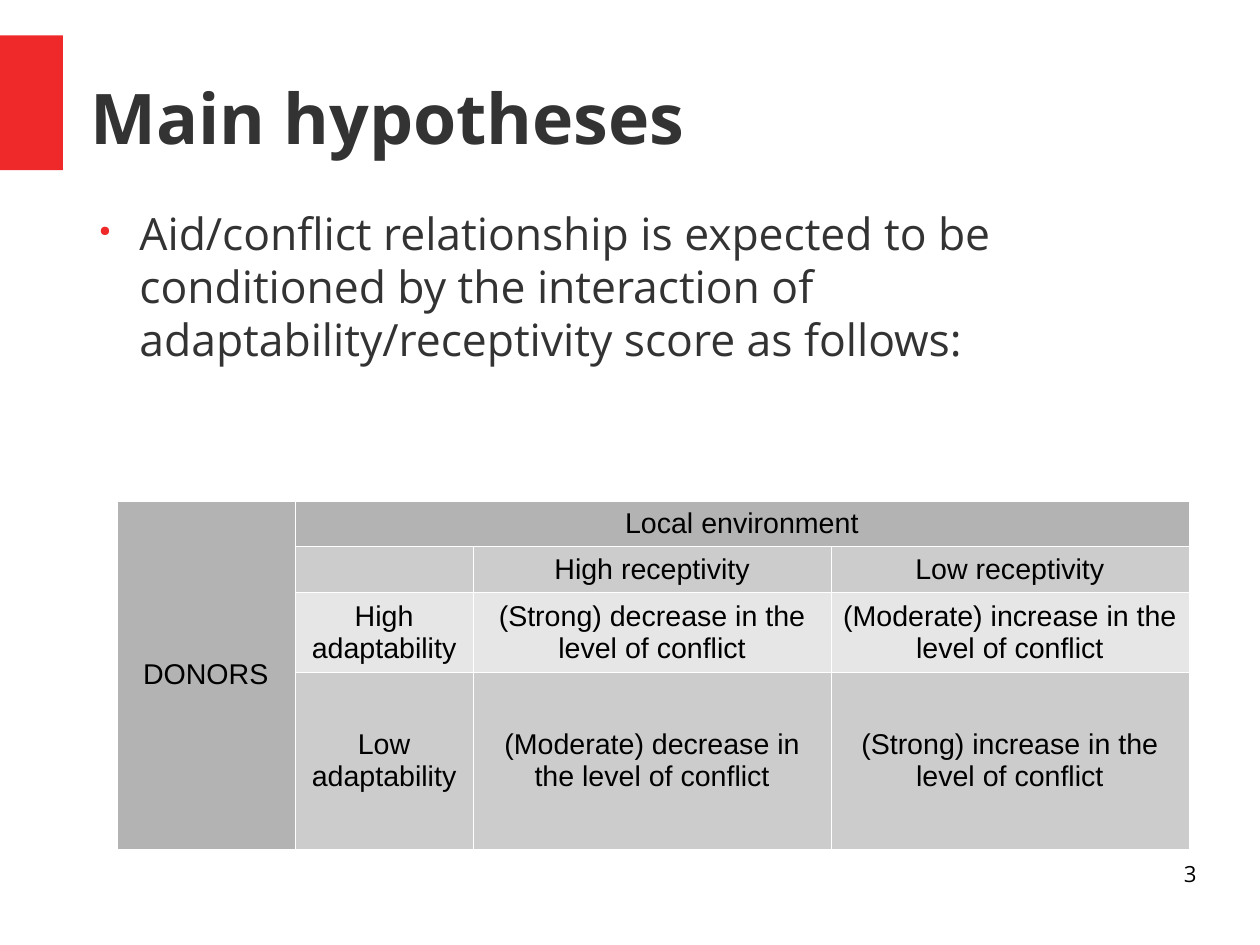
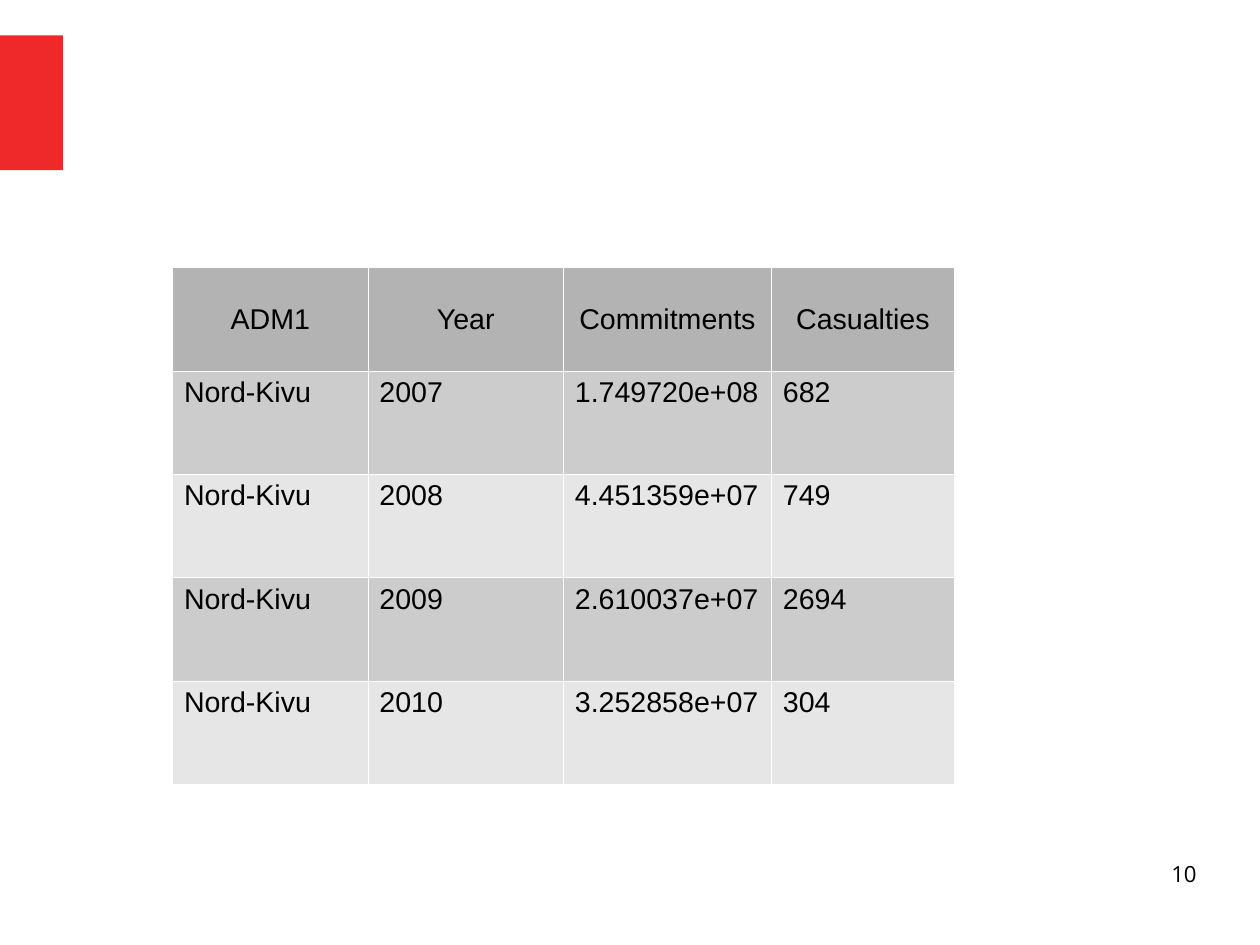
import dataclasses
import typing

import lxml.etree
import pptx
import pptx.dml.color
import pptx.enum.shapes
import pptx.enum.text
import pptx.oxml.ns
import pptx.util

Inches = pptx.util.Inches
Pt = pptx.util.Pt
RGB = pptx.dml.color.RGBColor
Align = pptx.enum.text.PP_ALIGN
Anchor = pptx.enum.text.MSO_ANCHOR
qn = pptx.oxml.ns.qn

CM_PER_INCH = 2.54
SLIDE_WIDTH_CM = 28
SLIDE_HEIGHT_CM = 21


@dataclasses.dataclass(frozen=True)
class Theme:
    accent: str = "EF2929"
    heading: str = "333333"
    ink: str = "000000"
    border: str = "FFFFFF"
    header_fill: str = "B3B3B3"
    band_fills: tuple[str, str] = ("CCCCCC", "E6E6E6")
    text_font: str = "Open Sans"
    table_font: str = "Arial"
    title_size: float = 44
    body_size: float = 28
    table_size: float = 18
    number_size: float = 14
    bullet_percent: int = 32
    border_width: float = 0.06


THEME = Theme()


@dataclasses.dataclass(frozen=True)
class Box:
    left: float
    top: float
    width: float
    height: float

    def lengths(self) -> list[pptx.util.Length]:
        return [Inches(value) for value in dataclasses.astuple(self)]


ACCENT_BAND = Box(0, 0.31, 0.55, 1.18)
TITLE = Box(0.79, 0.33, 9.68, 1.38)
BODY = Box(0.75, 1.8, 9.45, 1.8)
PAGE_NUMBER = Box(7.9, 7.53, 2.57, 0.57)


@dataclasses.dataclass(frozen=True)
class Grid:
    """A table; its first centred_rows rows are centred both ways."""
    left: float
    top: float
    columns: tuple[float, ...]
    rows: tuple[float, ...]
    texts: tuple[tuple[str, ...], ...]
    centred_rows: int
    merges: tuple[tuple[int, int, int, int], ...] = ()


@dataclasses.dataclass(frozen=True)
class Page:
    number: int
    grid: Grid
    title: str = ""
    bullet: str = ""


HYPOTHESES = Page(
    number=3,
    title="Main hypotheses",
    bullet="Aid/conflict relationship is expected to be conditioned by the "
           "interaction of adaptability/receptivity score as follows:",
    grid=Grid(
        left=1.02, top=4.38,
        columns=(1.56, 1.56, 3.13, 3.13),
        rows=(0.39, 0.39, 0.68, 1.55),
        texts=(
            ("DONORS", "Local environment", "", ""),
            ("", "", "High receptivity", "Low receptivity"),
            ("", "High adaptability",
             "(Strong) decrease in the level of conflict",
             "(Moderate) increase in the level of conflict"),
            ("", "Low adaptability",
             "(Moderate) decrease in the level of conflict",
             "(Strong) increase in the level of conflict"),
        ),
        centred_rows=4,
        merges=((0, 0, 3, 0), (0, 1, 0, 3)),
    ),
)

NORD_KIVU = Page(
    number=10,
    grid=Grid(
        left=1.51, top=2.34,
        columns=(1.71, 1.71, 1.82, 1.6),
        rows=(4.52 / 5,) * 5,
        texts=(
            ("ADM1", "Year", "Commitments", "Casualties"),
            ("Nord-Kivu", "2007", "1.749720e+08", "682"),
            ("Nord-Kivu", "2008", "4.451359e+07", "749"),
            ("Nord-Kivu", "2009", "2.610037e+07", "2694"),
            ("Nord-Kivu", "2010", "3.252858e+07", "304"),
        ),
        centred_rows=1,
    ),
)


def write(frame: typing.Any, text: str, *, size: float, font: str = THEME.text_font,
          color: str = THEME.ink, bold: bool = False,
          align: Align = Align.LEFT) -> typing.Any:
    """Fill the first paragraph of a text frame and return it."""
    paragraph = frame.paragraphs[0]
    paragraph.alignment = align
    run = paragraph.add_run()
    run.text = text
    run.font.size = Pt(size)
    run.font.name = font
    run.font.bold = bold
    run.font.color.rgb = RGB.from_string(color)
    return paragraph


def add_text(slide: typing.Any, box: Box, text: str, *, anchor: Anchor = Anchor.TOP,
             **style: typing.Any) -> typing.Any:
    frame = slide.shapes.add_textbox(*box.lengths()).text_frame
    frame.word_wrap = True
    frame.vertical_anchor = anchor
    frame.margin_left = frame.margin_right = frame.margin_top = frame.margin_bottom = 0
    return write(frame, text, **style)


def add_bullet(paragraph: typing.Any) -> None:
    properties = paragraph._p.get_or_add_pPr()
    properties.set("marL", str(Inches(0.47)))
    properties.set("indent", str(Inches(-0.35)))
    color = lxml.etree.SubElement(properties, qn("a:buClr"))
    lxml.etree.SubElement(color, qn("a:srgbClr"), val=THEME.accent)
    lxml.etree.SubElement(properties, qn("a:buSzPct"), val=str(THEME.bullet_percent * 1000))
    lxml.etree.SubElement(properties, qn("a:buChar"), char="●")


def add_borders(cell: typing.Any) -> None:
    properties = cell._tc.get_or_add_tcPr()
    for side in "LRTB":
        line = lxml.etree.SubElement(properties, qn(f"a:ln{side}"),
                                     w=str(int(Pt(THEME.border_width))))
        fill = lxml.etree.SubElement(line, qn("a:solidFill"))
        lxml.etree.SubElement(fill, qn("a:srgbClr"), val=THEME.border)


def row_fill(row: int) -> str:
    return THEME.band_fills[(row - 1) % 2] if row else THEME.header_fill


def add_grid(slide: typing.Any, grid: Grid) -> None:
    box = Box(grid.left, grid.top, sum(grid.columns), sum(grid.rows))
    table = slide.shapes.add_table(len(grid.rows), len(grid.columns), *box.lengths()).table
    table.first_row = table.horz_banding = False
    for column, width in zip(table.columns, grid.columns):
        column.width = Inches(width)
    for row, height in zip(table.rows, grid.rows):
        row.height = Inches(height)
    for top, left, bottom, right in grid.merges:
        table.cell(top, left).merge(table.cell(bottom, right))
    for row, texts in enumerate(grid.texts):
        centred = row < grid.centred_rows
        for column, text in enumerate(texts):
            cell = table.cell(row, column)
            add_borders(cell)
            cell.fill.solid()
            cell.fill.fore_color.rgb = RGB.from_string(row_fill(row))
            cell.vertical_anchor = Anchor.MIDDLE if centred else Anchor.TOP
            write(cell.text_frame, text, size=THEME.table_size, font=THEME.table_font,
                  align=Align.CENTER if centred else Align.LEFT)


def add_accent_band(slide: typing.Any) -> None:
    band = slide.shapes.add_shape(pptx.enum.shapes.MSO_SHAPE.RECTANGLE, *ACCENT_BAND.lengths())
    band.shadow.inherit = False
    band.fill.solid()
    band.fill.fore_color.rgb = RGB.from_string(THEME.accent)
    band.line.fill.background()


def add_page(deck: typing.Any, page: Page) -> None:
    slide = deck.slides.add_slide(deck.slide_layouts[6])
    add_accent_band(slide)
    if page.title:
        add_text(slide, TITLE, page.title, anchor=Anchor.MIDDLE, size=THEME.title_size,
                 color=THEME.heading, bold=True)
    if page.bullet:
        hypothesis = add_text(slide, BODY, page.bullet, size=THEME.body_size,
                              color=THEME.heading)
        hypothesis.space_after = Pt(14.1)
        add_bullet(hypothesis)
    add_grid(slide, page.grid)
    add_text(slide, PAGE_NUMBER, str(page.number), size=THEME.number_size, align=Align.RIGHT)


def main() -> None:
    deck = pptx.Presentation()
    deck.slide_width = Inches(SLIDE_WIDTH_CM / CM_PER_INCH)
    deck.slide_height = Inches(SLIDE_HEIGHT_CM / CM_PER_INCH)
    for page in (HYPOTHESES, NORD_KIVU):
        add_page(deck, page)
    deck.save("out.pptx")


if __name__ == "__main__":
    main()
